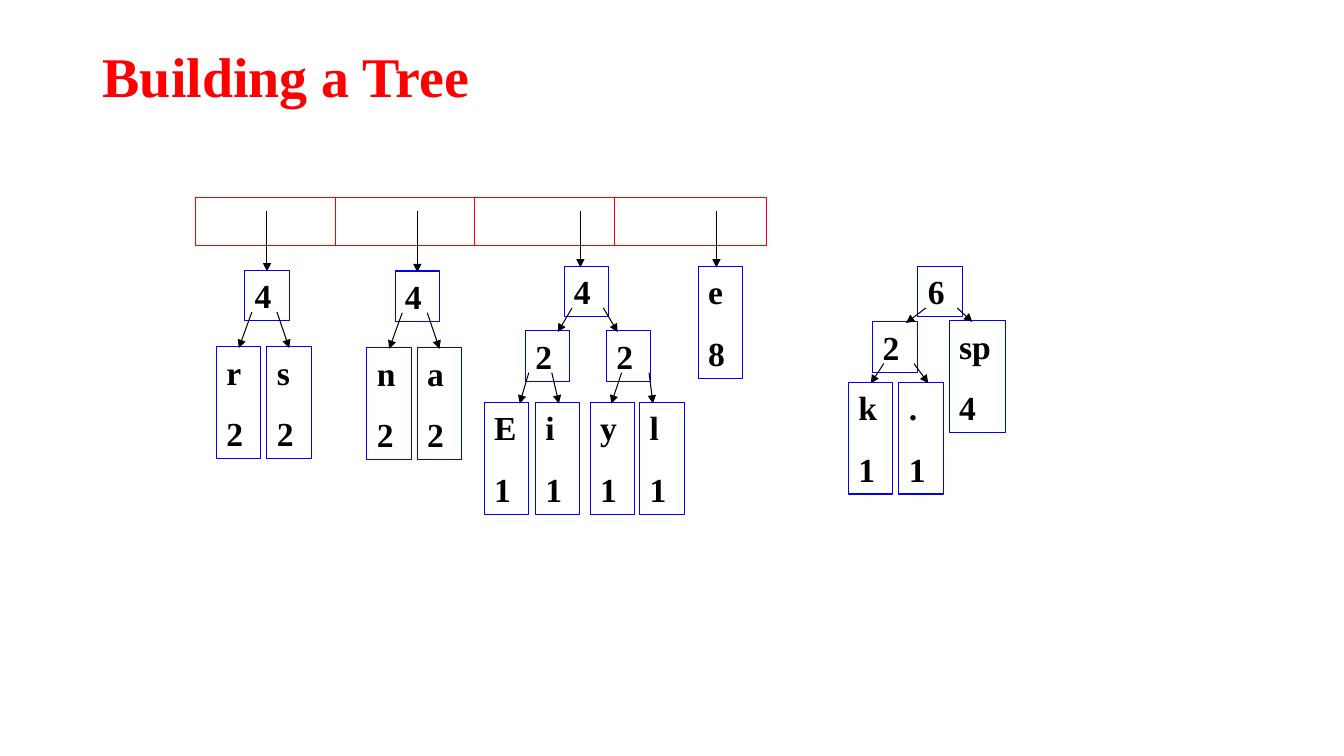
from dataclasses import dataclass

from lxml import etree
from pptx import Presentation
from pptx.dml.color import RGBColor
from pptx.enum.shapes import MSO_CONNECTOR, MSO_SHAPE
from pptx.enum.text import MSO_ANCHOR, MSO_AUTO_SIZE, PP_ALIGN
from pptx.oxml.ns import qn
from pptx.util import Cm, Pt

RECTANGLE = MSO_SHAPE.RECTANGLE
STRAIGHT = MSO_CONNECTOR.STRAIGHT
MIDDLE, TOP = MSO_ANCHOR.MIDDLE, MSO_ANCHOR.TOP
LEFT = PP_ALIGN.LEFT
GROW = MSO_AUTO_SIZE.SHAPE_TO_FIT_TEXT


@dataclass(frozen=True)
class Theme:
    font: str = "Times New Roman"
    red: RGBColor = RGBColor(0xFF, 0x00, 0x00)
    blue: RGBColor = RGBColor(0x00, 0x00, 0xFF)
    black: RGBColor = RGBColor(0x00, 0x00, 0x00)
    white: RGBColor = RGBColor(0xFF, 0xFF, 0xFF)
    title_size: Pt = Pt(40)
    node_size: Pt = Pt(24)
    line_gap: Pt = Pt(15)
    stroke: Pt = Pt(0.75)


THEME = Theme()

# All lengths below are centimetres.
NODE_WIDTH = 1.12
NODE_HEIGHT = 1.27
LEAF_HEIGHT = 2.82
ARROW_DROP = 1.05
QUEUE_SLOTS = 4
QUEUE_PITCH = 3.52
QUEUE_ARROW_INSET = 0.33


@dataclass(frozen=True)
class Node:
    """A tree node, offset from its parent (or, for a root, from the page).

    arrow_start is measured from the parent's left edge, and arrow_shift
    from the middle of this node's top edge.
    """
    lines: tuple
    left: float
    top: float
    arrow_start: float = 0
    arrow_shift: float = 0
    children: tuple = ()
    width: float = NODE_WIDTH


def letter_pair(count, left, top, first, second):
    """A root holding two letters that each occur twice."""
    return Node((count,), left, top, children=(
        Node((first, "2"), -0.71, 1.93, 0.18),
        Node((second, "2"), 0.56, 1.93, 0.81)))


QUEUED_TREES = (
    letter_pair("4", 6.17, 6.81, "r", "s"),
    letter_pair("4", 9.96, 6.83, "n", "a"),
    Node(("4",), 14.22, 6.71, arrow_shift=-0.15, children=(
        Node(("2",), -0.97, 1.63, 0.2, 0.25, (
            Node(("E", "1"), -1.04, 1.8, 0.08, 0.33),
            Node(("i", "1"), 0.25, 1.8, 0.66, 0.03))),
        Node(("2",), 1.07, 1.63, 0.99, -0.28, (
            Node(("y", "1"), -0.41, 1.8, 0.38, -0.03),
            Node(("l", "1"), 0.84, 1.8, 1.07, -0.23))))),
    Node(("e", "8"), 17.6, 6.71, arrow_shift=-0.1),
)
MERGED_TREE = Node(("6",), 23.14, 6.71, children=(
    Node(("2",), -1.14, 1.4, 0.2, 0.28, (
        Node(("k", "1"), -0.61, 1.52, 0.28),
        Node((".", "1"), 0.66, 1.52, 1.04, 0.18))),
    Node(("sp", "4"), 0.79, 1.37, 0.99, -0.13, width=1.42)))


def write_lines(frame, lines, size, color):
    for index, text in enumerate(lines):
        para = frame.add_paragraph() if index else frame.paragraphs[0]
        para.alignment = LEFT
        if index:
            para.space_before = THEME.line_gap
        span = para.add_run()
        span.text = text
        span.font.name = THEME.font
        span.font.size = size
        span.font.bold = True
        span.font.color.rgb = color


def add_box(page, left, top, width, height, color):
    box = page.shapes.add_shape(RECTANGLE, Cm(left), Cm(top), Cm(width), Cm(height))
    box.shadow.inherit = False
    box.line.color.rgb = color
    box.line.width = THEME.stroke
    return box


def add_line(page, start, end, color, arrow=False):
    line = page.shapes.add_connector(STRAIGHT, *map(Cm, start + end))
    line.line.color.rgb = color
    line.line.width = THEME.stroke
    if arrow:
        etree.SubElement(line.line._get_or_add_ln(), qn("a:tailEnd"), type="triangle")
    etree.SubElement(line._element.spPr, qn("a:effectLst"))


def add_title(page, left, top, width, height):
    box = page.shapes.add_textbox(Cm(left), Cm(top), Cm(width), Cm(height))
    frame = box.text_frame
    frame.word_wrap = True
    frame.vertical_anchor = MIDDLE
    write_lines(frame, ("Building a Tree",), THEME.title_size, THEME.red)
    frame.paragraphs[0].line_spacing = 0.9


def add_tree(page, node, origin=(0, 0)):
    """Draw a node and its descendants; return the tip for an arrow to it."""
    left, top = origin[0] + node.left, origin[1] + node.top
    height = LEAF_HEIGHT if len(node.lines) > 1 else NODE_HEIGHT
    box = add_box(page, left, top, node.width, height, THEME.blue)
    box.fill.background()
    frame = box.text_frame
    frame.word_wrap = True
    frame.auto_size = GROW
    frame.vertical_anchor = TOP
    write_lines(frame, node.lines, THEME.node_size, THEME.black)
    for child in node.children:
        tip = add_tree(page, child, (left, top))
        start = (left + child.arrow_start, top + ARROW_DROP)
        add_line(page, start, tip, THEME.black, arrow=True)
    return left + node.width / 2 + node.arrow_shift, top + 0.03


def add_queue(page, left, top, width, height):
    """Draw the queue's slots with the trees that hang from them."""
    queue = add_box(page, left, top, width, height, THEME.red)
    queue.fill.solid()
    queue.fill.fore_color.rgb = THEME.white
    for slot in range(1, QUEUE_SLOTS):
        x = left + slot * QUEUE_PITCH
        add_line(page, (x, top), (x, top + height), THEME.red)
    for tree in QUEUED_TREES:
        tip = add_tree(page, tree)
        add_line(page, (tip[0], top + QUEUE_ARROW_INSET), tip, THEME.black, arrow=True)


def main():
    deck = Presentation()
    deck.slide_width, deck.slide_height = Cm(33.88), Cm(19.05)
    page = deck.slides.add_slide(deck.slide_layouts[6])
    add_title(page, 2.34, 1.02, 29.2, 1.96)
    add_queue(page, 4.93, 4.98, 14.4, 1.22)
    add_tree(page, MERGED_TREE)
    deck.save("out.pptx")


if __name__ == "__main__":
    main()
